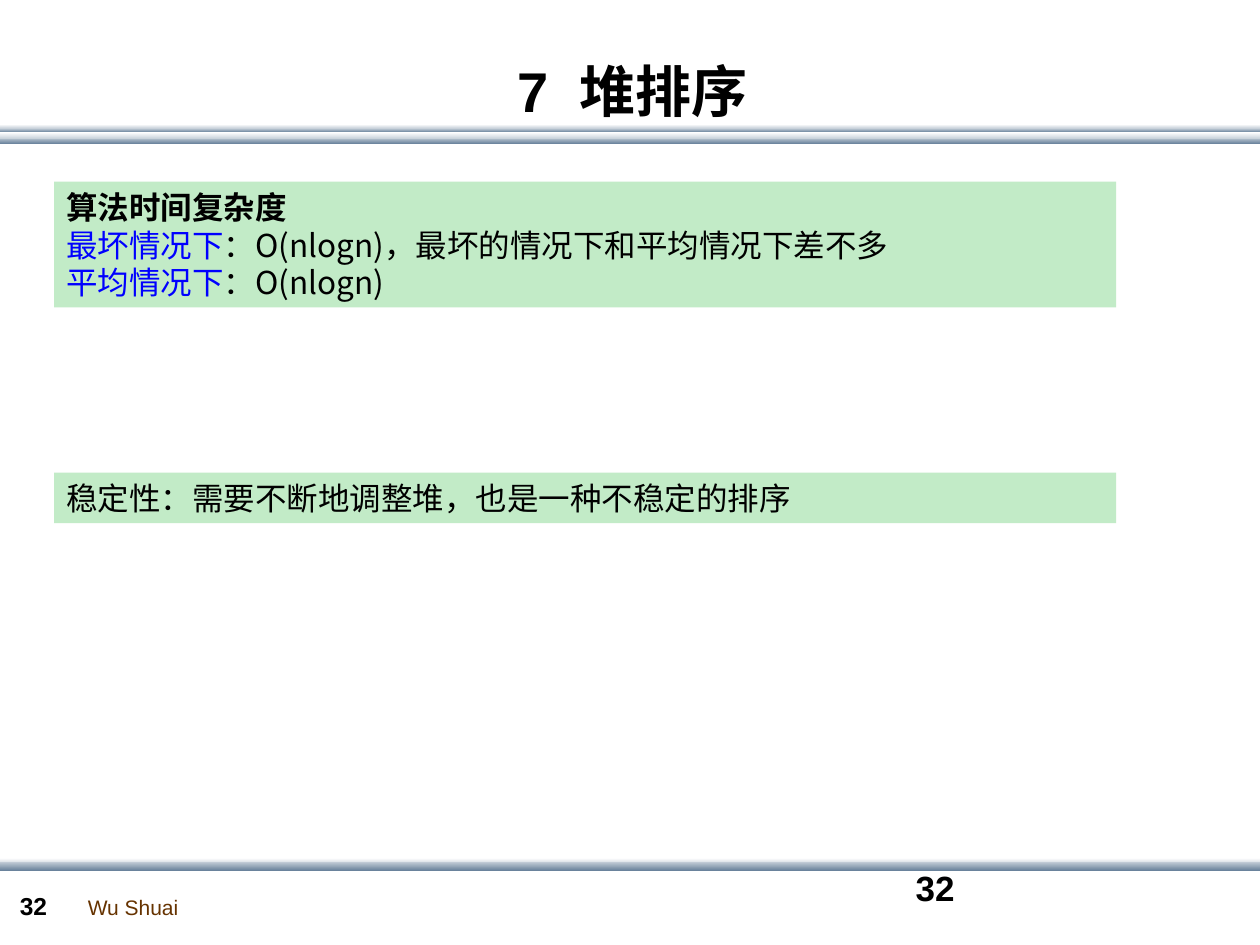
from dataclasses import dataclass

from pptx import Presentation
from pptx.dml.color import RGBColor
from pptx.enum.shapes import MSO_SHAPE
from pptx.enum.text import MSO_ANCHOR, PP_ALIGN
from pptx.oxml.ns import qn
from pptx.util import Cm, Pt

BLACK = RGBColor(0x00, 0x00, 0x00)
BLUE = RGBColor(0x00, 0x00, 0xFF)
BROWN = RGBColor(0x66, 0x33, 0x00)
GREEN = RGBColor(0xC2, 0xEB, 0xC7)
WHITE = RGBColor(0xFF, 0xFF, 0xFF)
PALE_STEEL = RGBColor(0xC8, 0xD1, 0xDA)
STEEL = RGBColor(0x6A, 0x83, 0x9C)

LATIN = "Arial"
CHINESE = "Noto Sans CJK SC"


@dataclass
class Run:
    text: str
    size: float = 18
    color: RGBColor = BLACK
    bold: bool = False
    font: str = CHINESE
    break_after: bool = False


@dataclass
class Band:
    top: float
    height: float
    start: RGBColor
    end: RGBColor


@dataclass
class Label:
    left: float
    top: float
    width: float
    height: float
    run: Run
    wrap: bool = True


@dataclass
class Panel:
    top: float
    height: float
    paragraphs: list[list[Run]]


BANDS = [
    Band(2.77, 0.13, PALE_STEEL, STEEL),
    Band(2.59, 0.08, PALE_STEEL, STEEL),
    Band(2.67, 0.13, WHITE, PALE_STEEL),
    Band(2.51, 0.08, WHITE, PALE_STEEL),
    Band(17.3, 0.13, WHITE, PALE_STEEL),
    Band(17.37, 0.18, PALE_STEEL, STEEL),
]

LABELS = [
    Label(1.52, 17.91, 2.34, 0.76, Run("Wu Shuai", 12, BROWN, font=LATIN), wrap=False),
    Label(0.15, 17.83, 1.4, 0.86, Run("32", 14, bold=True, font=LATIN)),
    Label(18.21, 17.35, 5.92, 1.27, Run("32", 20, bold=True, font=LATIN)),
]

PANELS = [
    Panel(3.66, 2.54, [
        [
            Run("算法时间复杂度", bold=True, break_after=True),
            Run("最坏情况下", color=BLUE),
            Run("：O(nlogn)，最坏的情况下和平均情况下差不多"),
        ],
        [Run("平均情况下", color=BLUE), Run("：O(nlogn)")],
    ]),
    Panel(9.53, 1.02, [[Run("稳定性：需要不断地调整堆，也是一种不稳定的排序")]]),
]


def add_run(paragraph, item: Run) -> None:
    run = paragraph.add_run()
    run.text = item.text
    font = run.font
    font.size = Pt(item.size)
    font.bold = item.bold
    font.color.rgb = item.color
    font.name = item.font
    # The East Asian typeface follows the Latin one
    east_asian = run._r.rPr.makeelement(qn("a:ea"), {"typeface": CHINESE})
    run._r.rPr.find(qn("a:latin")).addnext(east_asian)
    if item.break_after:
        paragraph.add_line_break()


def add_rectangle(slide, left: float, top: float, width: float, height: float):
    shape = slide.shapes.add_shape(
        MSO_SHAPE.RECTANGLE, Cm(left), Cm(top), Cm(width), Cm(height))
    shape.shadow.inherit = False
    shape.line.fill.background()
    return shape


def add_band(slide, band: Band) -> None:
    fill = add_rectangle(slide, 0, band.top, 25.4, band.height).fill
    fill.gradient()
    fill.gradient_angle = 270
    for stop, color in zip(fill.gradient_stops, (band.start, band.end)):
        stop.color.rgb = color


def add_label(slide, label: Label) -> None:
    box = slide.shapes.add_textbox(
        Cm(label.left), Cm(label.top), Cm(label.width), Cm(label.height))
    box.text_frame.word_wrap = label.wrap
    add_run(box.text_frame.paragraphs[0], label.run)


def add_panel(slide, panel: Panel) -> None:
    shape = add_rectangle(slide, 1.09, panel.top, 21.41, panel.height)
    shape.fill.solid()
    shape.fill.fore_color.rgb = GREEN
    frame = shape.text_frame
    frame.word_wrap = True
    frame.vertical_anchor = MSO_ANCHOR.TOP
    for index, runs in enumerate(panel.paragraphs):
        paragraph = frame.add_paragraph() if index else frame.paragraphs[0]
        paragraph.alignment = PP_ALIGN.LEFT
        paragraph.line_spacing = Pt(21.6)
        for item in runs:
            add_run(paragraph, item)


def set_title(slide, item: Run) -> None:
    title = slide.shapes.title
    title.left, title.top = Cm(0.56), Cm(1.12)
    title.width, title.height = Cm(24.38), Cm(1.4)
    frame = title.text_frame
    frame.word_wrap = True
    frame.vertical_anchor = MSO_ANCHOR.MIDDLE
    frame.margin_top = frame.margin_bottom = 0
    paragraph = frame.paragraphs[0]
    paragraph.alignment = PP_ALIGN.CENTER
    add_run(paragraph, item)


def main() -> None:
    presentation = Presentation()
    presentation.slide_width, presentation.slide_height = Cm(25.4), Cm(19.05)
    slide = presentation.slides.add_slide(presentation.slide_layouts[5])

    # Header and footer bands
    for band in BANDS:
        add_band(slide, band)

    # Author and page numbers
    for label in LABELS:
        add_label(slide, label)

    # Title and content panels
    set_title(slide, Run("7  堆排序", 32, bold=True, font=LATIN))
    for panel in PANELS:
        add_panel(slide, panel)

    presentation.save("out.pptx")


if __name__ == "__main__":
    main()
